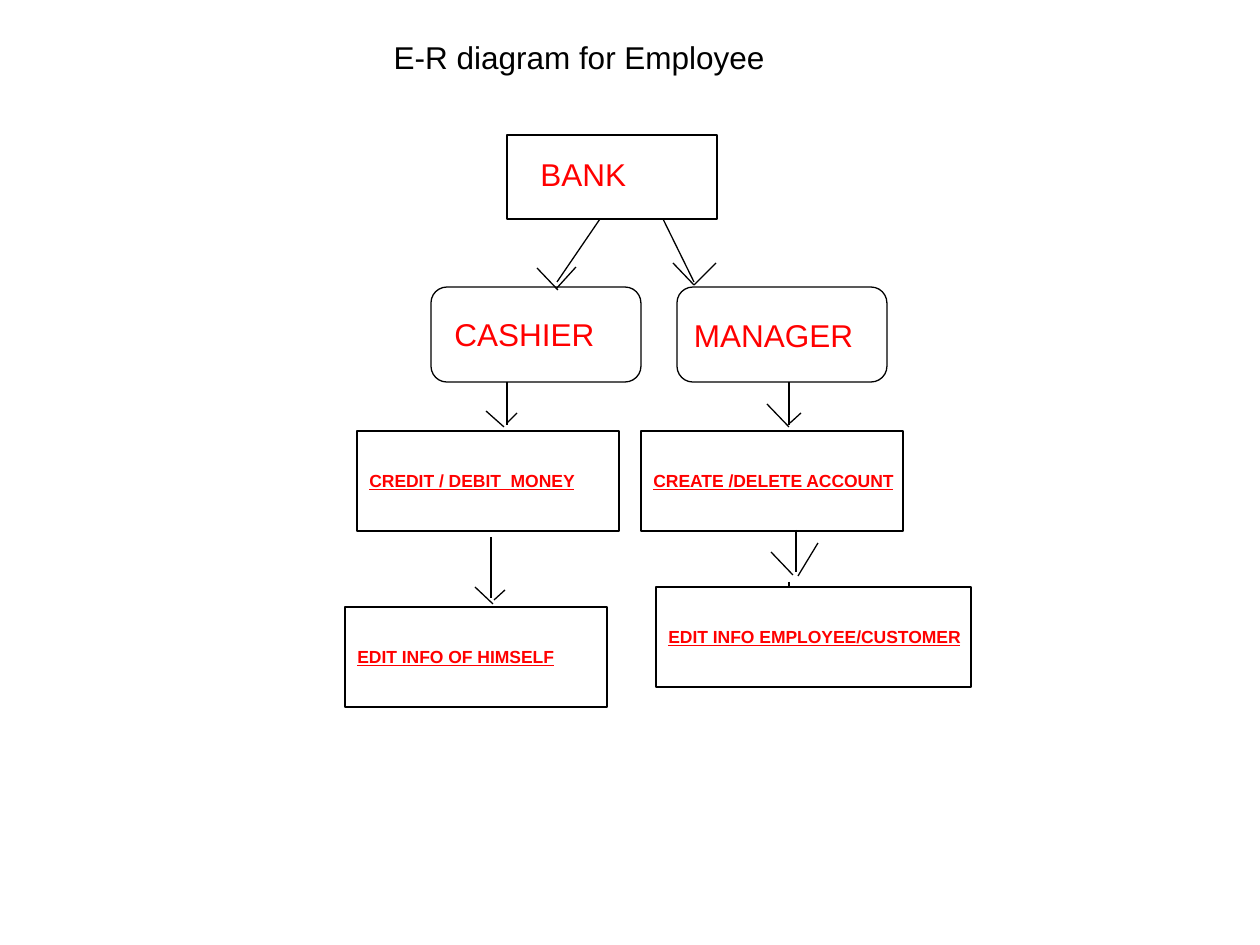
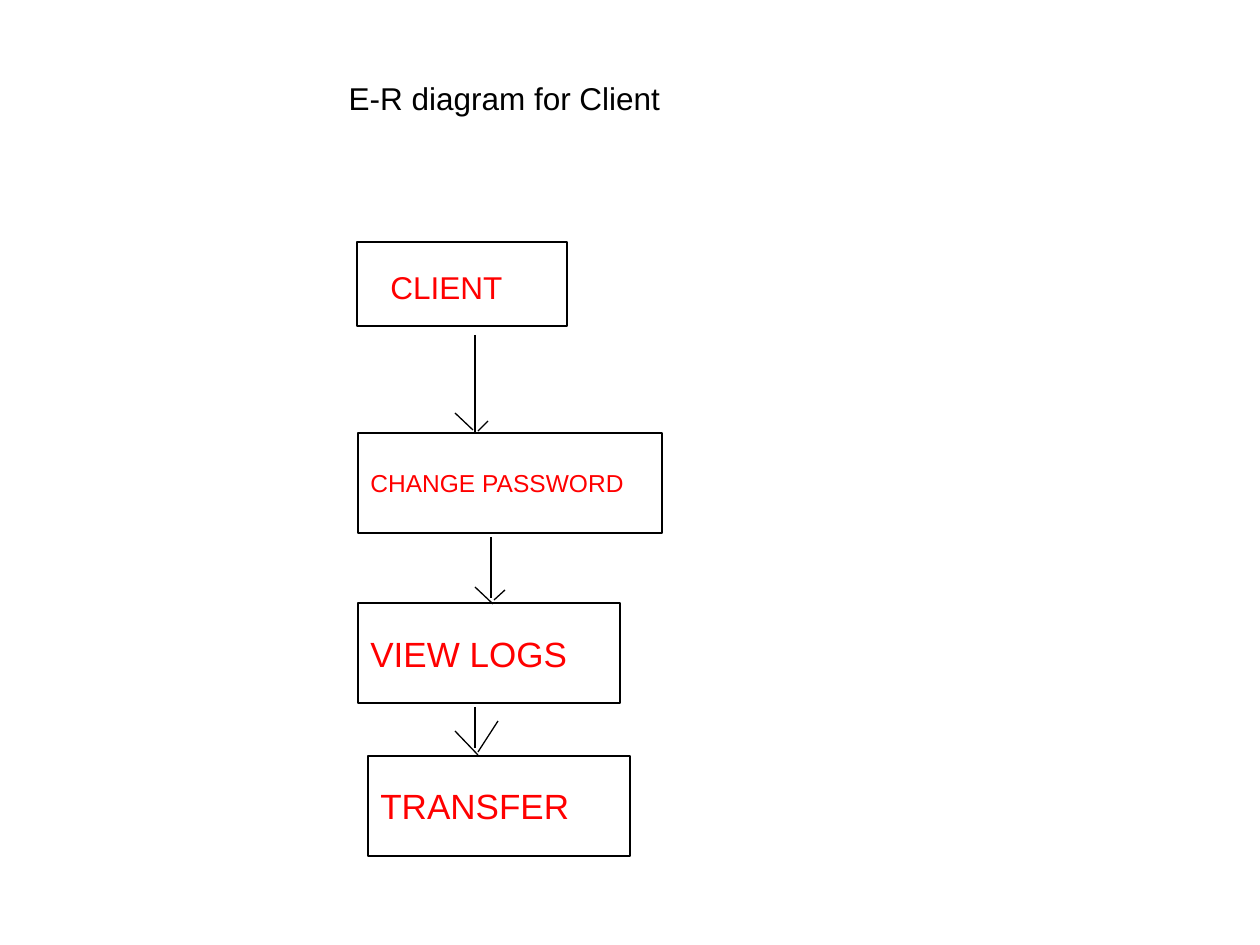
from typing import NamedTuple

from lxml.etree import SubElement
from pptx import Presentation
from pptx.dml.color import RGBColor
from pptx.enum.shapes import MSO_CONNECTOR, MSO_SHAPE
from pptx.enum.text import MSO_ANCHOR, MSO_AUTO_SIZE, PP_ALIGN
from pptx.oxml.ns import qn
from pptx.util import Pt

PX = 914400 / 126
COLORS = {"paper": "FFFFFF", "ink": "000000", "label": "FF0000"}
FONT = "Arial"
STROKE = Pt(0.74)
PAD_X, PAD_Y = 12.6, 6.3
RECT = MSO_SHAPE.RECTANGLE
ROUND = MSO_SHAPE.FLOWCHART_ALTERNATE_PROCESS


class Area(NamedTuple):
    """Left, top, width and height in pixels."""
    x: int
    y: int
    w: int
    h: int


class Line(NamedTuple):
    """Start and end points in pixels."""
    x1: int
    y1: int
    x2: int
    y2: int


class Arrow(NamedTuple):
    """A shaft with two open barbs."""
    shaft: Line
    left: Line
    right: Line


class Box(NamedTuple):
    """An outlined node, with its text inside when it has one."""
    area: Area
    text: str = ""
    size: int = 10
    strong: bool = False
    kind: MSO_SHAPE = RECT


class Label(NamedTuple):
    """Text laid over a box."""
    area: Area
    text: str


class Page(NamedTuple):
    """All that one diagram slide shows."""
    title: str
    place: Area
    boxes: list[Box]
    labels: list[Label]
    arrows: list[Arrow]
    stubs: list[Line]


def emu(px: float) -> int:
    """Turn pixels into EMU."""
    return round(px * PX)


def rgb(name: str) -> RGBColor:
    """Look up a colour."""
    return RGBColor.from_string(COLORS[name])


def write(shape, text: str, size: int, color: str, anchor=MSO_ANCHOR.TOP,
          strong: bool = False) -> None:
    """Set left-aligned text, free to run up to the right edge."""
    frame = shape.text_frame
    frame.text = text
    frame.word_wrap = True
    frame.auto_size = MSO_AUTO_SIZE.NONE
    frame.vertical_anchor = anchor
    frame.margin_left, frame.margin_right = emu(PAD_X), 0
    frame.margin_top = frame.margin_bottom = emu(PAD_Y)
    para = frame.paragraphs[0]
    para.alignment = PP_ALIGN.LEFT
    for run in para.runs:
        font = run.font
        font.name, font.size = FONT, Pt(size)
        font.bold = font.underline = strong
        font.color.rgb = rgb(color)


def draw_title(slide, text: str, place: Area) -> None:
    """Move and format the title placeholder."""
    title = slide.shapes.title
    title.left, title.top, title.width, title.height = map(emu, place)
    write(title, text, 18, "ink")


def draw_box(slide, box: Box) -> None:
    """Draw one node."""
    shape = slide.shapes.add_shape(box.kind, *map(emu, box.area))
    shape.shadow.inherit = False
    shape.fill.solid()
    shape.fill.fore_color.rgb = rgb("paper")
    shape.line.color.rgb = rgb("ink")
    shape.line.width = STROKE
    if box.text:
        write(shape, box.text, box.size, "label", MSO_ANCHOR.MIDDLE, box.strong)


def draw_label(slide, label: Label) -> None:
    """Draw one text box."""
    shape = slide.shapes.add_textbox(*map(emu, label.area))
    write(shape, label.text, 18, "label")


def draw_line(slide, line: Line) -> None:
    """Draw one straight line without a shadow."""
    link = slide.shapes.add_connector(MSO_CONNECTOR.STRAIGHT, *map(emu, line))
    link.line.color.rgb = rgb("ink")
    link.line.width = STROKE
    SubElement(link._element.spPr, qn("a:effectLst"))


def draw_page(deck, page: Page) -> None:
    """Add one diagram slide."""
    slide = deck.slides.add_slide(deck.slide_layouts[5])
    draw_title(slide, page.title, page.place)
    for box in page.boxes:
        draw_box(slide, box)
    for label in page.labels:
        draw_label(slide, label)
    for arrow in page.arrows:
        for line in arrow:
            draw_line(slide, line)
    for line in page.stubs:
        draw_line(slide, line)


LOWER = Arrow(Line(491, 537, 491, 598), Line(475, 587, 493, 604),
              Line(494, 600, 505, 590))

STAFF = Page(
    "E-R diagram for Employee", Area(381, 32, 396, 50),
    boxes=[
        Box(Area(507, 135, 210, 84)),
        Box(Area(431, 287, 210, 95), kind=ROUND),
        Box(Area(677, 287, 210, 95), "MANAGER", 18, kind=ROUND),
        Box(Area(357, 431, 262, 100), "CREDIT / DEBIT  MONEY", strong=True),
        Box(Area(641, 431, 262, 100), "CREATE /DELETE ACCOUNT", strong=True),
        Box(Area(345, 607, 262, 100), "EDIT INFO OF HIMSELF", strong=True),
        Box(Area(656, 587, 315, 100), "EDIT INFO EMPLOYEE/CUSTOMER",
            strong=True),
    ],
    labels=[
        Label(Area(528, 149, 158, 50), "BANK"),
        Label(Area(442, 309, 189, 50), "CASHIER"),
    ],
    arrows=[
        Arrow(Line(600, 219, 557, 282), Line(537, 268, 558, 290),
              Line(556, 289, 576, 267)),
        Arrow(Line(663, 219, 694, 282), Line(673, 263, 694, 285),
              Line(694, 285, 716, 263)),
        Arrow(Line(507, 382, 507, 425), Line(486, 411, 504, 427),
              Line(507, 423, 517, 413)),
        Arrow(Line(789, 382, 789, 425), Line(767, 404, 789, 427),
              Line(790, 423, 801, 413)),
        Arrow(Line(796, 530, 796, 572), Line(771, 552, 793, 575),
              Line(798, 576, 818, 543)),
        LOWER,
    ],
    stubs=[Line(789, 582, 789, 587)],
)

CLIENT = Page(
    "E-R diagram for Client", Area(336, 73, 451, 50),
    boxes=[
        Box(Area(357, 242, 210, 84)),
        Box(Area(358, 433, 304, 100), "CHANGE PASSWORD", 14),
        Box(Area(358, 603, 262, 100), "VIEW LOGS", 20),
        Box(Area(368, 756, 262, 100), "TRANSFER", 20),
    ],
    labels=[Label(Area(378, 262, 158, 50), "CLIENT")],
    arrows=[
        Arrow(Line(475, 335, 475, 433), Line(455, 413, 473, 430),
              Line(478, 431, 488, 421)),
        LOWER,
        Arrow(Line(475, 707, 475, 748), Line(455, 731, 478, 755),
              Line(478, 752, 498, 721)),
    ],
    stubs=[],
)

deck = Presentation()
deck.slide_width, deck.slide_height = emu(1260), emu(945)
for page in (STAFF, CLIENT):
    draw_page(deck, page)
deck.save("out.pptx")
